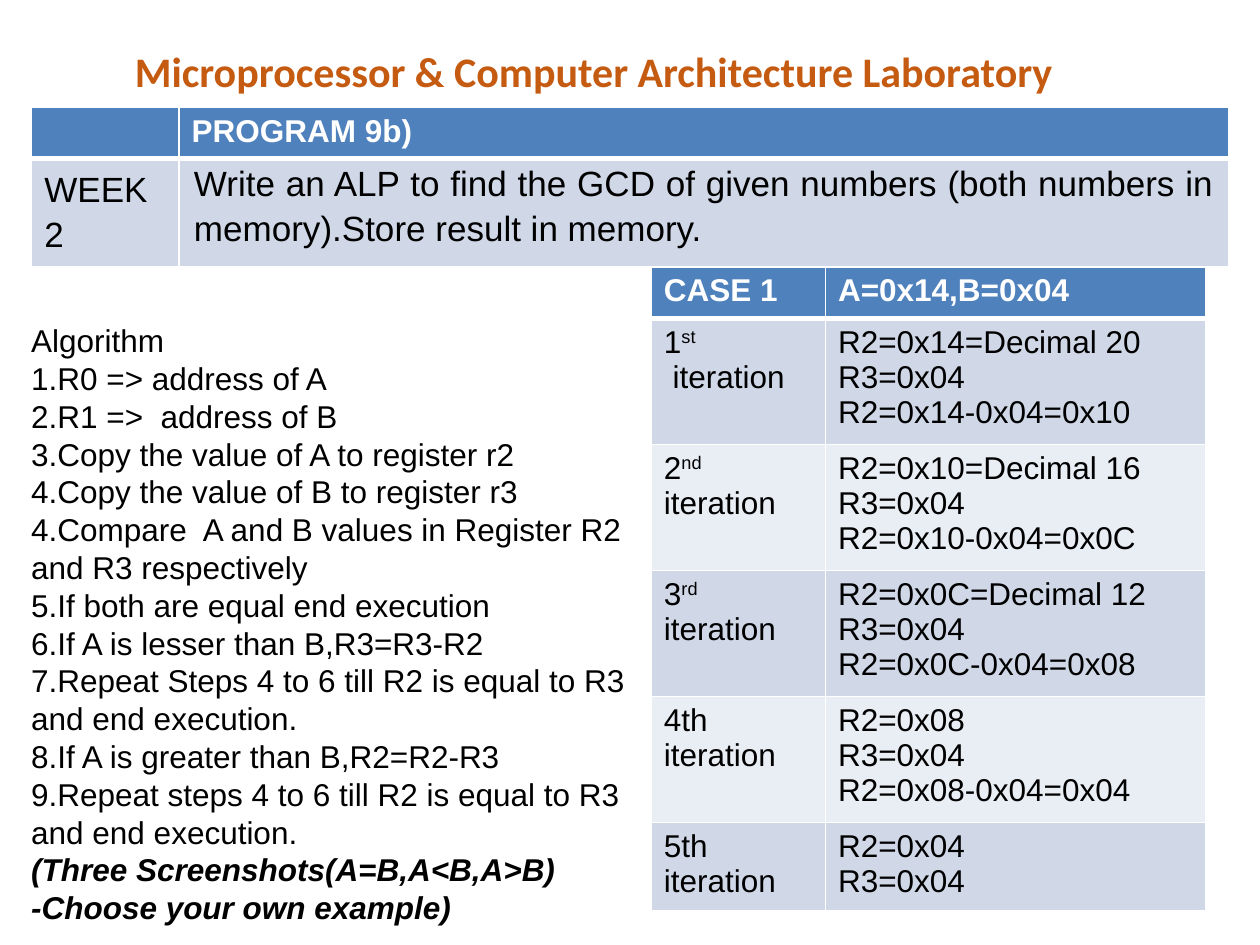
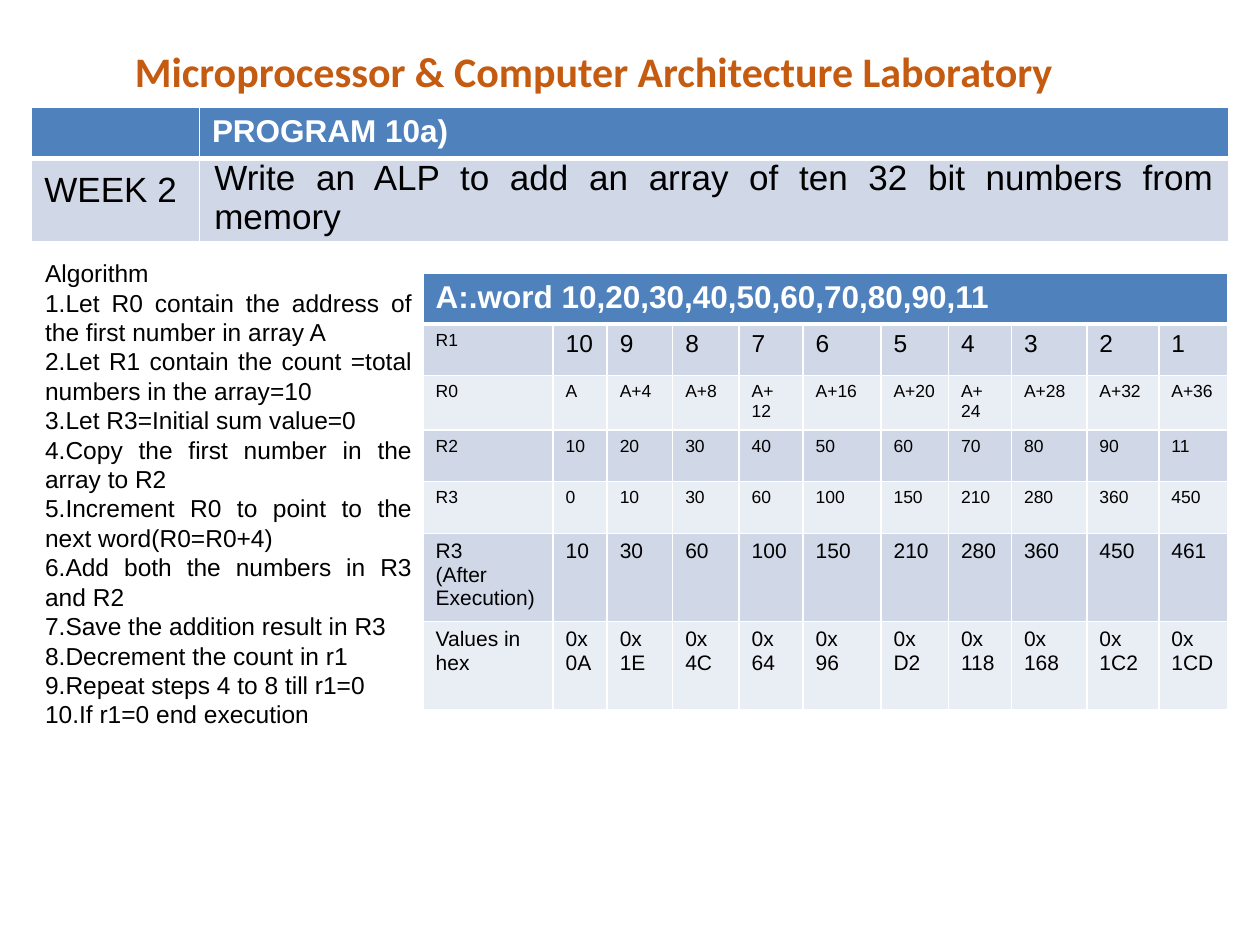
import pptx
import pptx.dml.color
import pptx.enum.text
import pptx.oxml
import pptx.oxml.ns
import pptx.util

Cm = pptx.util.Cm
Pt = pptx.util.Pt
ALIGN = pptx.enum.text.PP_ALIGN

COLORS = {
    "title": "C55A11",
    "header": "4F81BD",
    "band_dark": "D0D8E8",
    "band_light": "E9EDF4",
    "rule": "FFFFFF",
    "header_text": "FFFFFF",
    "text": "000000",
}
TITLE = "Microprocessor & Computer Architecture Laboratory"
TITLE_BOX = (0.64, 0.79, 22.66, 1.27)
PROGRAM_BOX = (0.64, 2.16, 24.13)
HEADER_HEIGHT = 1.04
HEADER_FORMAT = {"size": 18, "bold": True, "color": "header_text"}

GCD_STEPS = """Algorithm
1.R0 => address of A
2.R1 =>  address of B
3.Copy the value of A to register r2
4.Copy the value of B to register r3
4.Compare  A and B values in Register R2 and R3 respectively
5.If both are equal end execution
6.If A is lesser than B,R3=R3-R2
7.Repeat Steps 4 to 6 till R2 is equal to R3 and end execution.
8.If A is greater than B,R2=R2-R3
9.Repeat steps 4 to 6 till R2 is equal to R3
and end execution."""
GCD_TASK = "(Three Screenshots(A=B,A<B,A>B)\n-Choose your own example)"

# Text between ^ marks is raised
GCD_CASE = [
    ("CASE 1", "A=0x14,B=0x04"),
    ("1^st^\n iteration", "R2=0x14=Decimal 20\nR3=0x04\nR2=0x14-0x04=0x10"),
    ("2^nd^ iteration", "R2=0x10=Decimal 16\nR3=0x04\nR2=0x10-0x04=0x0C"),
    ("3^rd^ iteration", "R2=0x0C=Decimal 12\nR3=0x04\nR2=0x0C-0x04=0x08"),
    ("4th iteration", "R2=0x08\nR3=0x04\nR2=0x08-0x04=0x04"),
    ("5th iteration", "R2=0x04\nR3=0x04"),
]

SUM_STEPS = """Algorithm
1.Let R0 contain the address of the first number in array A
2.Let R1 contain the count =total numbers in the array=10
3.Let R3=Initial sum value=0
4.Copy the first number in the array to R2
5.Increment R0 to point to the next word(R0=R0+4)
6.Add both the numbers in R3 and R2
7.Save the addition result in R3
8.Decrement the count in r1
9.Repeat steps 4 to 8 till r1=0
10.If r1=0 end execution"""

# Row label, label size, value size, row height, values
SUM_TRACE = [
    ("R1", 10, 14, 1.04, "10 9 8 7 6 5 4 3 2 1".split()),
    ("R0", 10, 10, 1.1, ["A", "A+4", "A+8", "A+\n12", "A+16", "A+20",
                         "A+\n24", "A+28", "A+32", "A+36"]),
    ("R2", 10, 10, 1.04, "10 20 30 40 50 60 70 80 90 11".split()),
    ("R3", 10, 10, 1.04, "0 10 30 60 100 150 210 280 360 450".split()),
    ("R3\n(After Execution)", 12, 12, 1.78,
     "10 30 60 100 150 210 280 360 450 461".split()),
    ("Values in hex", 12, 12, 1.78,
     ["0x0A"] + ["0x\n" + digits
                 for digits in "1E 4C 64 96 D2 118 168 1C2 1CD".split()]),
]
SUM_WIDTHS = [2.62, 1.09, 1.32, 1.34, 1.29, 1.57, 1.36, 1.27, 1.52, 1.45, 1.4]


def rgb(name):
    return pptx.dml.color.RGBColor.from_string(COLORS[name])


def write_text(frame, text, size=18, font="Arial", color="text", bold=False,
               italic=False, align=ALIGN.LEFT, spacing=None, after=None):
    """Append each line of text to the frame as a paragraph."""
    for line in text.split("\n"):
        para = frame.paragraphs[-1]
        if para.runs:
            para = frame.add_paragraph()
        para.alignment = align
        if spacing:
            para.line_spacing = spacing
        if after:
            para.space_after = Pt(after)
        for index, piece in enumerate(line.split("^")):
            if not piece:
                continue
            span = para.add_run()
            span.text = piece
            span.font.size = Pt(size)
            span.font.name = font
            span.font.bold = bold
            span.font.italic = italic
            span.font.color.rgb = rgb(color)
            if index % 2:
                span.font._element.set("baseline", "30000")


def set_borders(cell, row):
    """White rules: thick below the header row, thin elsewhere."""
    widths = {"L": 1, "R": 1, "T": 3 if row == 1 else 1, "B": 3 if row == 0 else 1}
    properties = cell._tc.get_or_add_tcPr()
    for side, width in widths.items():
        properties.append(pptx.oxml.parse_xml(
            f'<a:ln{side} {pptx.oxml.ns.nsdecls("a")} w="{Pt(width)}">'
            f'<a:solidFill><a:srgbClr val="{COLORS["rule"]}"/></a:solidFill>'
            f'</a:ln{side}>'))


def add_grid(page, left, top, widths, heights):
    """Add a table with a header row and banded body rows."""
    grid = page.shapes.add_table(
        len(heights), len(widths), Cm(left), Cm(top),
        Cm(sum(widths)), Cm(sum(heights))).table
    for column, width in zip(grid.columns, widths):
        column.width = Cm(width)
    for index, (row, height) in enumerate(zip(grid.rows, heights)):
        row.height = Cm(height)
        band = "band_dark" if index % 2 else "band_light"
        for cell in row.cells:
            set_borders(cell, index)
            cell.fill.solid()
            cell.fill.fore_color.rgb = rgb(band if index else "header")
    return grid


def add_page(deck):
    """Add a page with the course title."""
    page = deck.slides.add_slide(deck.slide_layouts[5])
    title = page.shapes.title
    title.left, title.top, title.width, title.height = map(Cm, TITLE_BOX)
    frame = title.text_frame
    frame.auto_size = pptx.enum.text.MSO_AUTO_SIZE.NONE
    frame.vertical_anchor = pptx.enum.text.MSO_ANCHOR.MIDDLE
    write_text(frame, TITLE, size=24, font="Calibri", color="title", bold=True,
               align=ALIGN.CENTER)
    return page


def add_program(page, box, name, task, week_width, task_height, **task_format):
    """Add the table that names the week, the program and its task."""
    left, top, width = box
    grid = add_grid(page, left, top, [week_width, width - week_width],
                    [HEADER_HEIGHT, task_height])
    write_text(grid.cell(0, 1).text_frame, name, **HEADER_FORMAT)
    write_text(grid.cell(1, 0).text_frame, "WEEK 2", size=20,
               align=ALIGN.JUSTIFY, spacing=1.15)
    cell = grid.cell(1, 1)
    cell.margin_left = cell.margin_right = Cm(0.3)
    cell.margin_top = cell.margin_bottom = 0
    write_text(cell.text_frame, task, size=20, align=ALIGN.JUSTIFY, **task_format)


def add_algorithm(page, box, steps, **step_format):
    """Add the list of steps and return its text frame."""
    frame = page.shapes.add_textbox(*map(Cm, box)).text_frame
    frame.word_wrap = True
    write_text(frame, steps, **step_format)
    return frame


def add_case(page, left, top):
    """Add the table of GCD iterations."""
    grid = add_grid(page, left, top, [3.51, 7.67],
                    [HEADER_HEIGHT] + [2.54] * 4 + [1.78])
    for row, texts in enumerate(GCD_CASE):
        for column, text in enumerate(texts):
            text_format = {} if row else HEADER_FORMAT
            write_text(grid.cell(row, column).text_frame, text, **text_format)


def add_trace(page, left, top):
    """Add the table of register values for the array sum."""
    grid = add_grid(page, left, top, SUM_WIDTHS,
                    [1.02] + [height for _, _, _, height, _ in SUM_TRACE])
    grid.cell(0, 0).merge(grid.cell(0, len(SUM_WIDTHS) - 1))
    write_text(grid.cell(0, 0).text_frame,
               "A:.word 10,20,30,40,50,60,70,80,90,11", **HEADER_FORMAT)
    for row, (label, label_size, size, _, values) in enumerate(SUM_TRACE, 1):
        write_text(grid.cell(row, 0).text_frame, label, size=label_size)
        for column, value in enumerate(values, 1):
            write_text(grid.cell(row, column).text_frame, value, size=size)


def build_gcd_page(deck):
    page = add_page(deck)
    add_program(page, PROGRAM_BOX, "PROGRAM 9b)",
                "Write an ALP to find the GCD of given numbers "
                "(both numbers in memory).Store result in memory.",
                2.97, 2.18, spacing=1.15, after=10)
    add_case(page, 13.13, 5.38)
    frame = add_algorithm(page, (0.38, 6.35, 12.5, 12.7), GCD_STEPS)
    write_text(frame, GCD_TASK, bold=True, italic=True)


def build_sum_page(deck):
    page = add_page(deck)
    add_program(page, PROGRAM_BOX, "PROGRAM 10a)",
                "Write an ALP to add an array of ten 32 bit numbers from memory",
                3.38, 1.68)
    add_trace(page, 8.53, 5.51)
    add_algorithm(page, (0.66, 5.08, 7.9, 11.02), SUM_STEPS, size=14,
                  align=ALIGN.JUSTIFY)


def main():
    deck = pptx.Presentation()
    deck.slide_width, deck.slide_height = Cm(25.4), Cm(19.05)
    build_gcd_page(deck)
    build_sum_page(deck)
    deck.save("out.pptx")


if __name__ == "__main__":
    main()
